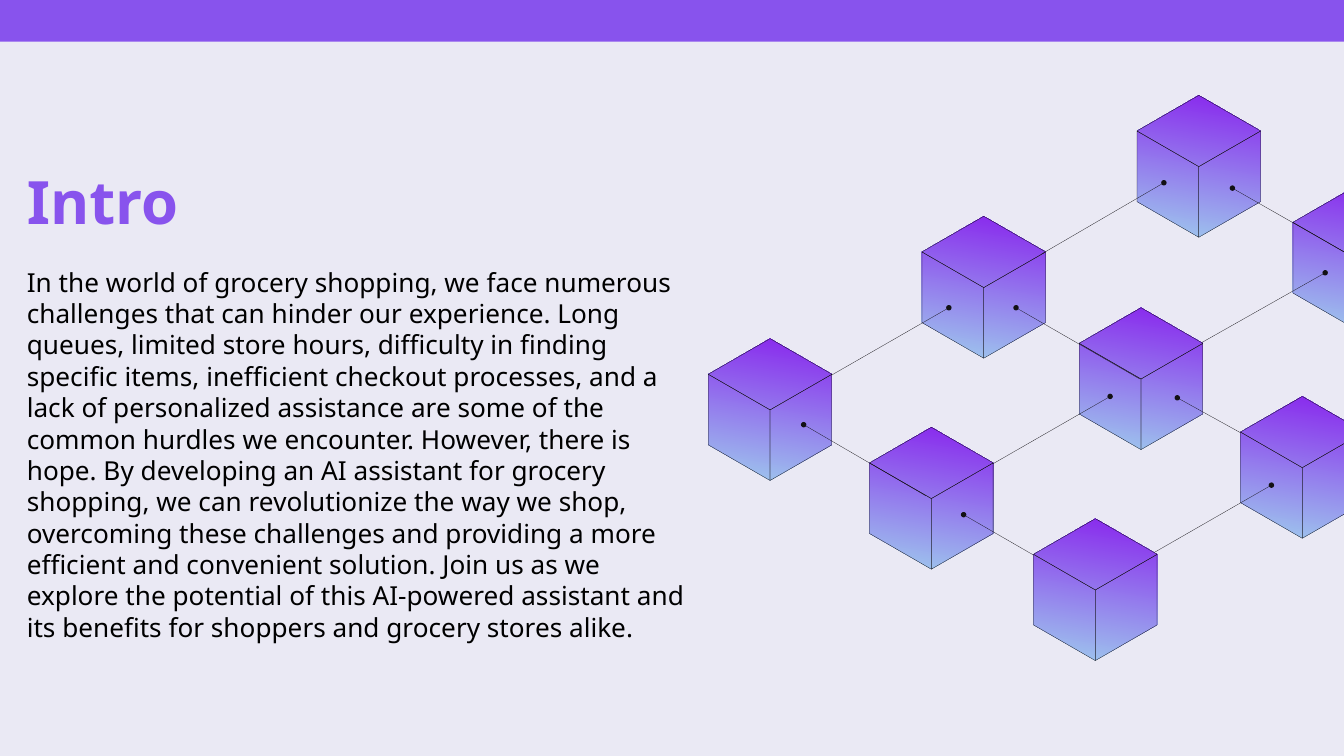
from lxml import etree
from pptx import Presentation
from pptx.dml.color import RGBColor
from pptx.enum.shapes import MSO_CONNECTOR, MSO_SHAPE
from pptx.enum.text import MSO_ANCHOR
from pptx.oxml.ns import qn
from pptx.util import Inches, Pt

RECT, OVAL = MSO_SHAPE.RECTANGLE, MSO_SHAPE.OVAL
STRAIGHT = MSO_CONNECTOR.STRAIGHT
TOP, BOTTOM = MSO_ANCHOR.TOP, MSO_ANCHOR.BOTTOM

# Content
TITLE = "Intro"
BODY = (
    "In the world of grocery shopping, we face numerous challenges that can "
    "hinder our experience. Long queues, limited store hours, difficulty in "
    "finding specific items, inefficient checkout processes, and a lack of "
    "personalized assistance are some of the common hurdles we encounter. "
    "However, there is hope. By developing an AI assistant for grocery shopping, "
    "we can revolutionize the way we shop, overcoming these challenges and "
    "providing a more efficient and convenient solution. Join us as we explore "
    "the potential of this AI-powered assistant and its benefits for shoppers "
    "and grocery stores alike."
)
# Top corner of each cube
CUBES = [(5.73, 2.52), (6.93, 3.18), (8.15, 3.86), (8.49, 2.29),
         (7.32, 1.61), (9.69, 2.95), (10.08, 1.39), (8.92, 0.71)]
# Each link: dot on a cube face, then the far end at the next cube
LINKS = [
    ((9.46, 3.61), (8.59, 4.11)), ((9.86, 2.03), (8.94, 2.55)),
    ((8.26, 2.95), (7.39, 3.45)), ((5.98, 3.16), (6.89, 3.69)),
    ((7.17, 3.83), (7.69, 4.13)), ((7.56, 2.29), (8.48, 2.82)),
    ((8.76, 2.96), (9.23, 3.22)), ((9.17, 1.4), (10.08, 1.92)),
    ((8.66, 1.36), (7.75, 1.89)), ((7.06, 2.29), (6.19, 2.79)),
]

THEME = {
    "bg": RGBColor.from_string("EAE9F4"),
    "accent": RGBColor.from_string("8853ED"),
    "text": RGBColor.from_string("000000"),
    "ink": RGBColor.from_string("131115"),
    "cube": [RGBColor.from_string(c) for c in ("9ECAED", "8823ED")],
    "font": "Noto Sans",
    "title_size": Pt(32),
    "body_size": Pt(14),
    "hairline": Pt(0.13),
}
SLIDE_W = 10
SLIDE_H = SLIDE_W * 9 / 16
BANNER_H = 0.31
HALF_W, RISE, SIDE = 0.46, 0.265, 0.525
DOT = 0.04


def add_filled(s, kind, x, y, w, h, color):
    sp = s.shapes.add_shape(kind, Inches(x), Inches(y), Inches(w), Inches(h))
    sp.shadow.inherit = False
    sp.fill.solid()
    sp.fill.fore_color.rgb = color
    sp.line.fill.background()


def add_text(s, text, x, y, w, h, anchor, size, color, bold=False, before=0):
    tf = s.shapes.add_textbox(Inches(x), Inches(y), Inches(w), Inches(h)).text_frame
    tf.word_wrap = True
    tf.vertical_anchor = anchor
    tf.margin_left = tf.margin_right = tf.margin_top = tf.margin_bottom = 0
    tf.text = text
    p = tf.paragraphs[0]
    p.space_before = Pt(before)
    font = p.runs[0].font
    font.name, font.size, font.bold = THEME["font"], size, bold
    font.color.rgb = color


def add_polygon(s, points):
    pts = [(Inches(x), Inches(y)) for x, y in points]
    builder = s.shapes.build_freeform(*pts[0])
    builder.add_line_segments(pts[1:], close=True)
    sp = builder.convert_to_shape()
    sp.shadow.inherit = False
    return sp


def set_hairline(line):
    line.color.rgb = THEME["ink"]
    line.width = THEME["hairline"]


def cube_corners(cx, top):
    left, right = cx - HALF_W, cx + HALF_W
    shoulder, center = top + RISE, top + 2 * RISE
    hip, foot = shoulder + SIDE, center + SIDE
    return {"top": (cx, top), "mid": (cx, center), "foot": (cx, foot),
            "ul": (left, shoulder), "ll": (left, hip),
            "ur": (right, shoulder), "lr": (right, hip)}


def add_cube_body(s, c):
    sp = add_polygon(s, [c[k] for k in ("top", "ul", "ll", "foot", "lr", "ur")])
    sp.fill.gradient()
    sp.fill.gradient_angle = 80
    for stop, color, position in zip(sp.fill.gradient_stops, THEME["cube"], (0, 1)):
        stop.color.rgb = color
        stop.position = position
    sp.line.fill.background()


def add_cube_faces(s, c):
    faces = [("foot", "ll", "ul", "mid"), ("foot", "lr", "ur", "mid"),
             ("ur", "mid", "ul", "top")]
    if c["mid"][0] > SLIDE_W:  # the right face would lie beyond the slide
        del faces[1]
    for face in faces:
        sp = add_polygon(s, [c[k] for k in face])
        sp.fill.background()
        set_hairline(sp.line)


def add_link(s, dot, end):
    line = s.shapes.add_connector(STRAIGHT, *(Inches(v) for v in (*dot, *end)))
    set_hairline(line.line)
    etree.SubElement(line._element.spPr, qn("a:effectLst"))
    x, y = dot
    add_filled(s, OVAL, x - DOT / 2, y - DOT / 2, DOT, DOT, THEME["ink"])


def main():
    prs = Presentation()
    prs.slide_width, prs.slide_height = Inches(SLIDE_W), Inches(SLIDE_H)
    s = prs.slides.add_slide(prs.slide_layouts[6])
    s.background.fill.solid()
    s.background.fill.fore_color.rgb = THEME["bg"]

    # Banner and text
    add_filled(s, RECT, 0, 0, SLIDE_W, BANNER_H, THEME["accent"])
    add_text(s, TITLE, 0.2, 0.61, 4.87, 1.15, BOTTOM,
             THEME["title_size"], THEME["accent"], bold=True)
    add_text(s, BODY, 0.2, 1.98, 5, 2.58, TOP,
             THEME["body_size"], THEME["text"], before=2.8)

    # Cube network
    cubes = [cube_corners(*cube) for cube in CUBES]
    for c in cubes:
        add_cube_body(s, c)
    for c in cubes:
        add_cube_faces(s, c)
    for dot, end in LINKS:
        add_link(s, dot, end)

    prs.save("out.pptx")


if __name__ == "__main__":
    main()
